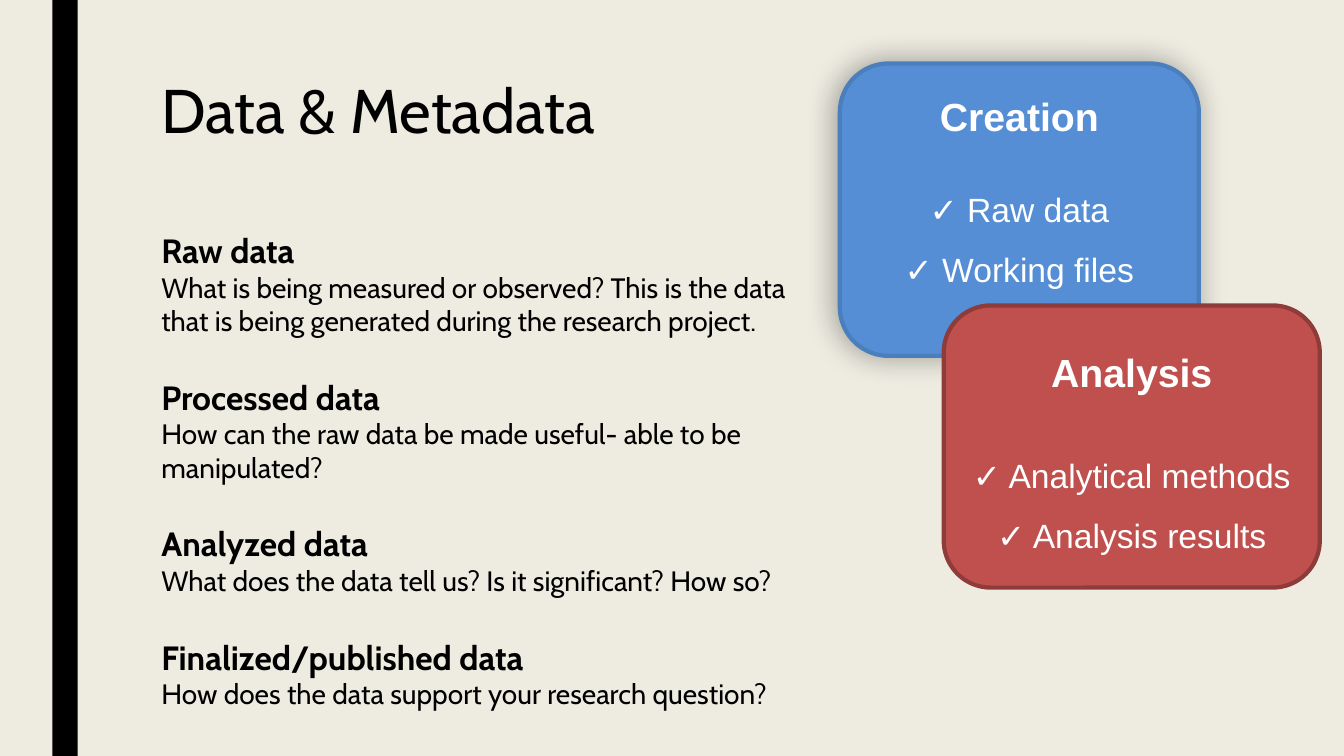
from lxml import etree
from pptx import Presentation
from pptx.dml.color import RGBColor
from pptx.enum.shapes import MSO_SHAPE
from pptx.enum.text import MSO_ANCHOR, MSO_AUTO_SIZE, PP_ALIGN
from pptx.oxml import parse_xml
from pptx.oxml.ns import nsdecls, qn
from pptx.util import Inches, Pt

RECT, ROUNDED = MSO_SHAPE.RECTANGLE, MSO_SHAPE.ROUNDED_RECTANGLE
TOP, NO_FIT = MSO_ANCHOR.TOP, MSO_AUTO_SIZE.NONE
LEFT, CENTER = PP_ALIGN.LEFT, PP_ALIGN.CENTER

TITLE = "Data & Metadata"
DATA_STAGES = [
    ("Raw data", "What is being measured or observed? This is the data "
                 "that is being generated during the research project."),
    ("Processed data", "How can the raw data be made useful- able to be manipulated?"),
    ("Analyzed data", "What does the data tell us? Is it significant? How so?"),
    ("Finalized/published data", "How does the data support your research question?"),
]
CARDS = [
    dict(heading="Creation", items=["✓ Raw data", "✓ Working files"],
         area=(62.49, 8.4, 26.71, 38.67), fill="558ED5", edge="4B7EBC",
         inset=0.14, gap=21, glow=True),
    dict(heading="Analysis", items=["✓ Analytical methods", "✓ Analysis results"],
         area=(70.22, 40.4, 27.98, 37.33), fill="C0504D", edge="8E3B39",
         inset=0.29, gap=28, glow=False),
]
AREAS = dict(bar=(3.9, 0, 1.88, 100), title=(11.25, 10, 78.77, 21.6),
             stages=(11.25, 29.73, 51.24, 68.8))
THEME = dict(
    paper="EEECE1", ink="000000", light="FFFFFF", edge_width=3, stage_gap=28,
    title=dict(name="Cabin", size=Pt(44), bold=False),
    stage=dict(name="Cabin", size=Pt(24), bold=True),
    question=dict(name="Cabin", size=Pt(20), bold=False),
    heading=dict(name="Arial", size=Pt(28), bold=True),
    item=dict(name="Arial", size=Pt(24), bold=False),
)

prs = Presentation()
prs.slide_width, prs.slide_height = Inches(13.33), Inches(7.5)
slide = prs.slides.add_slide(prs.slide_layouts[1])


def box(area):
    sides = (prs.slide_width, prs.slide_height) * 2
    return [round(side * share / 100) for side, share in zip(sides, area)]


def place(shape, area):
    for side, value in zip(("left", "top", "width", "height"), box(area)):
        setattr(shape, side, value)


def paint(fill, colour):
    fill.solid()
    fill.fore_color.rgb = RGBColor.from_string(colour)


def prepare(frame, inset=0.05):
    for key, value in dict(word_wrap=True, auto_size=NO_FIT, vertical_anchor=TOP,
                           margin_top=Inches(inset)).items():
        setattr(frame, key, value)


def write(frame, lines, colour, align):
    for number, (text, style, before, spacing) in enumerate(lines):
        paragraph = frame.add_paragraph() if number else frame.paragraphs[0]
        properties = paragraph._p.get_or_add_pPr()
        properties.set("marL", "0")
        properties.set("indent", "0")
        etree.SubElement(properties, qn("a:buNone"))
        paragraph.text = text
        for key, value in dict(alignment=align, space_before=Pt(before),
                               space_after=Pt(0), line_spacing=spacing).items():
            setattr(paragraph, key, value)
        for key, value in THEME[style].items():
            setattr(paragraph.font, key, value)
        paragraph.font.color.rgb = RGBColor.from_string(colour)


def add_shape(kind, area, colour):
    shape = slide.shapes.add_shape(kind, *box(area))
    shape.shadow.inherit = False
    paint(shape.fill, colour)
    return shape


def add_glow(shape):
    effects = shape._element.spPr.find(qn("a:effectLst"))
    effects.append(parse_xml(
        f'<a:outerShdw {nsdecls("a")} blurRad="{Pt(21)}" dist="{Pt(3)}" '
        f'dir="{197 * 60000}" algn="ctr" rotWithShape="0">'
        f'<a:srgbClr val="{THEME["ink"]}"><a:alpha val="35000"/></a:srgbClr>'
        '</a:outerShdw>'))


paint(slide.background.fill, THEME["paper"])
bar = add_shape(RECT, AREAS["bar"], THEME["ink"])
bar.line.fill.background()
slide.shapes._spTree.insert(2, bar._element)

title = slide.shapes.title
place(title, AREAS["title"])
prepare(title.text_frame)
write(title.text_frame, [(TITLE, "title", 0, 0.89)], THEME["ink"], LEFT)

stages = slide.placeholders[1]
place(stages, AREAS["stages"])
prepare(stages.text_frame)
stage_lines = []
for stage, question in DATA_STAGES:
    gap = THEME["stage_gap"] if stage_lines else 0
    stage_lines += [(stage, "stage", gap, 1.0), (question, "question", 0, 1.0)]
write(stages.text_frame, stage_lines, THEME["ink"], LEFT)

for content in CARDS:
    card = add_shape(ROUNDED, content["area"], content["fill"])
    paint(card.line.fill, content["edge"])
    card.line.width = Pt(THEME["edge_width"])
    if content["glow"]:
        add_glow(card)
    prepare(card.text_frame, content["inset"])
    card_lines = [(content["heading"], "heading", 0, 1.0)]
    for number, item in enumerate(content["items"]):
        card_lines.append((item, "item", 0 if number else content["gap"], 1.5))
    write(card.text_frame, card_lines, THEME["light"], CENTER)

prs.save("out.pptx")
